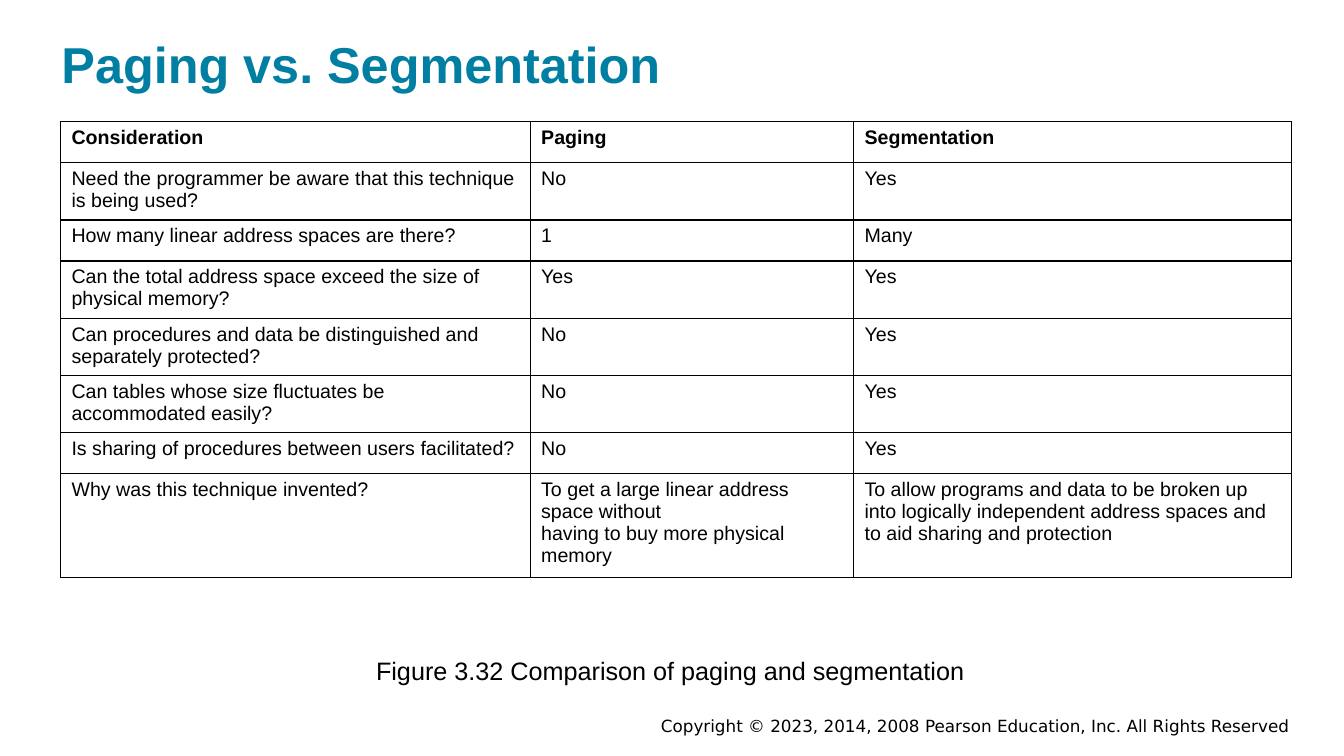
"""Build the slide that compares paging with segmentation in a table."""
from dataclasses import dataclass
from typing import Any

from lxml.etree import SubElement
from pptx import Presentation
from pptx.dml.color import RGBColor
from pptx.enum.text import MSO_ANCHOR, MSO_AUTO_SIZE, PP_ALIGN
from pptx.oxml import parse_xml
from pptx.oxml.ns import nsdecls, qn
from pptx.util import Pt

TEAL = RGBColor(0x00, 0x7F, 0xA3)
BLACK = RGBColor(0x00, 0x00, 0x00)
WHITE = RGBColor(0xFF, 0xFF, 0xFF)

COLUMN_WIDTHS = (335.5, 231, 312.5)
SHORT_ROW, TALL_ROW, LAST_ROW = 29.3, 40.9, 74.3


@dataclass(frozen=True)
class Span:
    text: str
    size: float
    color: RGBColor = BLACK
    bold: bool = False
    font: str = "Arial"


@dataclass(frozen=True)
class Line:
    left: float
    top: float
    width: float
    height: float
    span: Span
    alignment: PP_ALIGN = PP_ALIGN.LEFT


@dataclass(frozen=True)
class Row:
    height: float
    texts: tuple[str, str, str]
    bold: bool = False


COMPARISON = (
    Row(SHORT_ROW, ("Consideration", "Paging", "Segmentation"), True),
    Row(TALL_ROW, ("Need the programmer be aware that this technique is being used?",
                   "No", "Yes")),
    Row(SHORT_ROW, ("How many linear address spaces are there?", "1", "Many")),
    Row(TALL_ROW, ("Can the total address space exceed the size of physical memory?",
                   "Yes", "Yes")),
    Row(TALL_ROW, ("Can procedures and data be distinguished and separately protected?",
                   "No", "Yes")),
    Row(TALL_ROW, ("Can tables whose size fluctuates be accommodated easily?",
                   "No", "Yes")),
    Row(SHORT_ROW, ("Is sharing of procedures between users facilitated?", "No", "Yes")),
    Row(LAST_ROW, (
        "Why was this technique invented?",
        "To get a large linear address space without\nhaving to buy more physical memory",
        "To allow programs and data to be broken up into logically independent "
        "address spaces and to aid sharing and protection",
    )),
)
TITLE = Line(43.9, 21.6, 878.4, 46.8, Span("Paging vs. Segmentation", 36, TEAL, True))
CAPTION = Line(268.6, 466.8, 423, 24.5,
               Span("Figure 3.32 Comparison of paging and segmentation", 18))
COPYRIGHT = Line(
    402.5, 509.8, 519, 17.3,
    Span("Copyright © 2023, 2014, 2008 Pearson Education, Inc. All Rights Reserved",
         12, font="DejaVu Sans"),
    PP_ALIGN.RIGHT,
)


def apply_format(target: Any, values: dict[str, Any]) -> None:
    for name, value in values.items():
        setattr(target, name, value)


def add_span(para: Any, span: Span) -> None:
    run = para.add_run()
    run.text = span.text
    apply_format(run.font, {"name": span.font, "size": Pt(span.size), "bold": span.bold})
    run.font.color.rgb = span.color


def fill_line(box: Any, line: Line) -> None:
    apply_format(box, {
        "left": Pt(line.left), "top": Pt(line.top),
        "width": Pt(line.width), "height": Pt(line.height),
    })
    apply_format(box.text_frame, {
        "word_wrap": True, "auto_size": MSO_AUTO_SIZE.NONE,
        "vertical_anchor": MSO_ANCHOR.MIDDLE,
        "margin_left": Pt(0), "margin_right": Pt(0),
        "margin_top": Pt(1.5), "margin_bottom": Pt(1.5),
    })
    para = box.text_frame.paragraphs[0]
    apply_format(para, {"alignment": line.alignment, "space_before": Pt(0)})
    add_span(para, line.span)


def remove_bullet(para: Any) -> None:
    properties = para._p.get_or_add_pPr()
    for name in ("marL", "indent"):
        properties.set(name, "0")
    SubElement(properties, qn("a:buNone"))


def border_cell(cell: Any) -> None:
    properties = cell._tc.get_or_add_tcPr()
    for position, side in enumerate(("lnL", "lnR", "lnT", "lnB")):
        properties.insert(position, parse_xml(
            f'<a:{side} {nsdecls("a")} w="{Pt(1)}"><a:solidFill>'
            f'<a:srgbClr val="{BLACK}"/></a:solidFill></a:{side}>'
        ))


def fill_cell(cell: Any, text: str, bold: bool) -> None:
    apply_format(cell, {
        "margin_left": Pt(7.7), "margin_right": Pt(7.7),
        "margin_top": Pt(3.6), "margin_bottom": Pt(3.6),
    })
    cell.fill.solid()
    cell.fill.fore_color.rgb = WHITE
    border_cell(cell)
    frame = cell.text_frame
    for index, words in enumerate(text.split("\n")):
        para = frame.add_paragraph() if index else frame.paragraphs[0]
        add_span(para, Span(words, 14, bold=bold))


def add_comparison(page: Any) -> None:
    table = page.shapes.add_table(
        len(COMPARISON), len(COLUMN_WIDTHS), Pt(43.4), Pt(87),
        Pt(sum(COLUMN_WIDTHS)), Pt(sum(row.height for row in COMPARISON)),
    ).table
    table.horz_banding = False
    for column, width in zip(table.columns, COLUMN_WIDTHS):
        column.width = Pt(width)
    for table_row, row in zip(table.rows, COMPARISON):
        table_row.height = Pt(row.height)
        for cell, text in zip(table_row.cells, row.texts):
            fill_cell(cell, text, row.bold)


def main() -> None:
    deck = Presentation()
    apply_format(deck, {"slide_width": Pt(960), "slide_height": Pt(540)})
    page = deck.slides.add_slide(deck.slide_layouts[1])
    fill_line(page.shapes.title, TITLE)
    caption = page.placeholders[1]
    remove_bullet(caption.text_frame.paragraphs[0])
    fill_line(caption, CAPTION)
    add_comparison(page)
    fill_line(page.shapes.add_textbox(Pt(0), Pt(0), Pt(0), Pt(0)), COPYRIGHT)
    deck.save("out.pptx")


if __name__ == "__main__":
    main()
